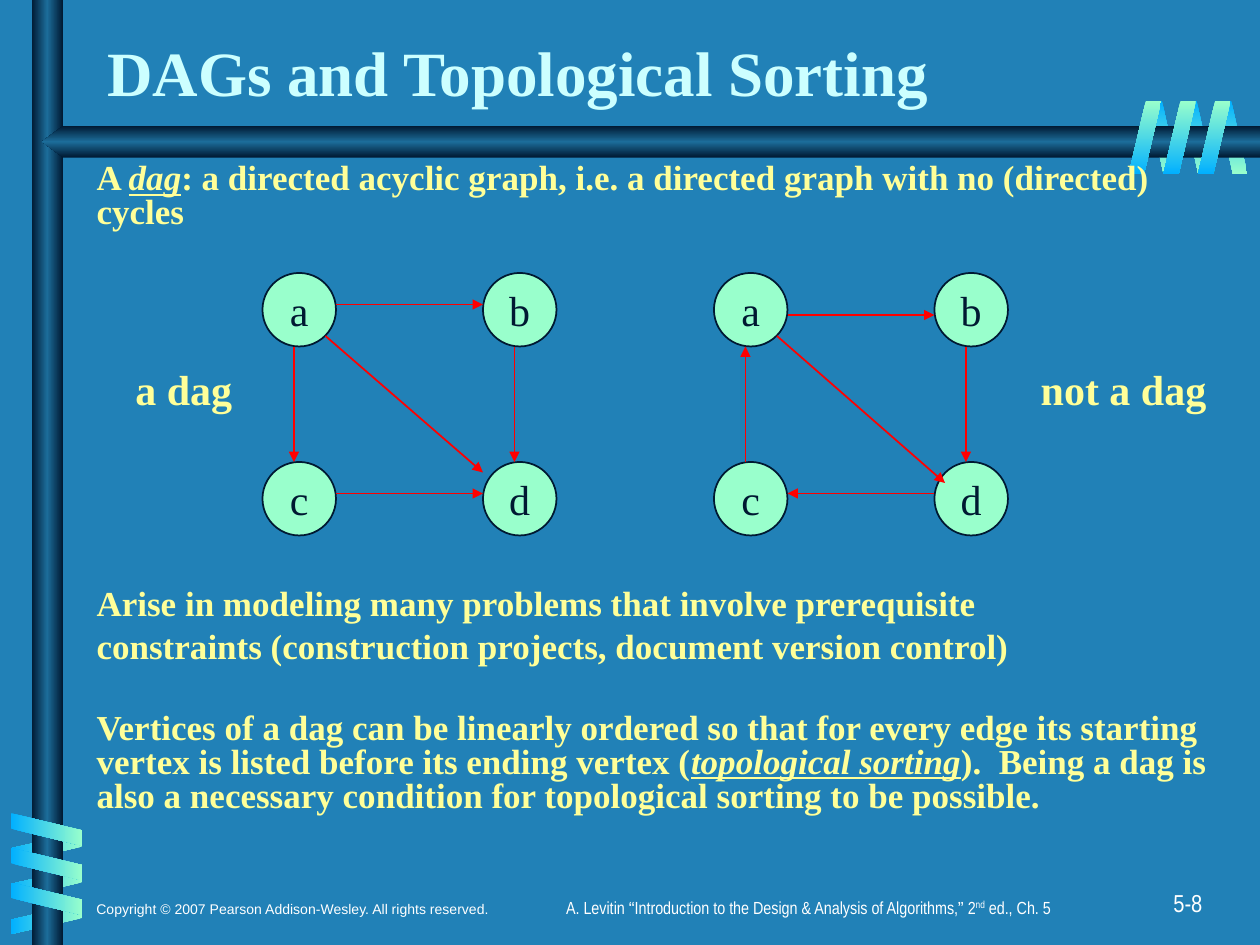
from lxml import etree
from pptx import Presentation
from pptx import util as u
from pptx.dml.color import RGBColor
from pptx.enum import shapes, text
from pptx.oxml import ns

PX = 7620  # EMU per px, 120 px to the inch
BLUE = RGBColor(0x21, 0x81, 0xB7)
NAVY = RGBColor(0x00, 0x19, 0x32)
STEEL = RGBColor(0x1C, 0x6D, 0x9A)
SKY = RGBColor(0x01, 0xB0, 0xFF)
MINT = RGBColor(0x99, 0xFF, 0xCC)
ICE = RGBColor(0xCC, 0xFF, 0xFF)
YELLOW = RGBColor(0xFF, 0xFF, 0x99)
WHITE = RGBColor(0xFF, 0xFF, 0xFF)
RED = RGBColor(0xFF, 0x00, 0x00)
SERIF, SANS, NARROW = "Times New Roman", "Arial", "Arial Narrow"


def write(para, words, size, color, **values):
    span = para.add_run()
    span.text = words
    span.font.color.rgb = color
    for name, value in {"size": u.Pt(size), "name": SERIF, **values}.items():
        setattr(span.font, name, value)
    return span


def shade(shape, colors, angle):
    shape.shadow.inherit = False
    shape.line.fill.background()
    shape.fill.gradient()
    grad = shape.element.spPr.find(ns.qn("a:gradFill"))
    grad.set("rotWithShape", "0")
    for child in list(grad):
        grad.remove(child)
    stops = etree.SubElement(grad, ns.qn("a:gsLst"))
    for i, color in enumerate(colors):
        stop = etree.SubElement(stops, ns.qn("a:gs"), pos=str(100000 * i // (len(colors) - 1)))
        etree.SubElement(stop, ns.qn("a:srgbClr"), val=str(color))
    etree.SubElement(grad, ns.qn("a:lin"), ang=str(angle * 60000), scaled="1")


deck = Presentation()
deck.slide_width, deck.slide_height = 1200 * PX, 900 * PX
page = deck.slides.add_slide(deck.slide_layouts[1])
page.background.fill.solid()
page.background.fill.fore_color.rgb = BLUE
title, body = page.placeholders

# Coil strips: left, top, x step, y step, width, height, turn, mirrored, colours, angle
back_coils = [
    (1093, 96, 33, 0, 29, 70, 180, True, (SKY, MINT), 90),
    (30, 773, 0, 34, 29, 68, 90, True, (MINT, SKY), 0),
]
front_coils = [
    (29, 756, 0, 33, 31, 68, 270, False, (SKY, MINT), 0),
    (1075, 96, 33, 0, 31, 70, 0, False, (MINT, SKY), 90),
]
for coils in (back_coils, front_coils):
    for left, top, dx, dy, width, height, turn, mirrored, colors, angle in coils:
        for i in range(3):
            strip = page.shapes.add_shape(
                shapes.MSO_SHAPE.PARALLELOGRAM,
                (left + i * dx) * PX, (top + i * dy) * PX, width * PX, height * PX)
            strip.adjustments[0] = 0.53
            strip.rotation = turn
            if mirrored:
                strip.element.spPr.xfrm.set("flipH", "1")
            shade(strip, colors, angle)

    # Bars run between the back and front strips
    if coils is back_coils:
        bar = page.shapes.add_shape(shapes.MSO_SHAPE.RECTANGLE, 30 * PX, 0, 30 * PX, 900 * PX)
        shade(bar, (NAVY, STEEL, NAVY), 0)
        outline = page.shapes.build_freeform(1200, 120, scale=PX)
        outline.add_line_segments([(60, 120), (40, 135), (60, 150), (1200, 150)], close=True)
        shade(outline.convert_to_shape(), (NAVY, STEEL, NAVY), 90)

# Title and body text, in front of the decoration
for holder, place in ((title, (90, 20, 996, 90)), (body, (80, 150, 1100, 680))):
    page.shapes.element.append(holder.element)
    for name, value in zip(("left", "top", "width", "height"), place):
        setattr(holder, name, value * PX)
    holder.text_frame.auto_size = text.MSO_AUTO_SIZE.NONE
title.text_frame.vertical_anchor = text.MSO_ANCHOR.BOTTOM
title.text_frame.paragraphs[0].alignment = text.PP_ALIGN.LEFT
write(title.text_frame.paragraphs[0], "DAGs and Topological Sorting", 36, ICE, bold=True)

TERM = {"italic": True, "underline": True}
paragraphs = [
    (0, [("A ", {}), ("dag", TERM),
         (": a directed acyclic graph, i.e. a directed graph with no (directed) cycles", {})]),
    (205, [("Arise in modeling many problems that involve prerequisite", {})]),
    (5, [("constraints (construction projects, document version control)", {})]),
    (27.5, [("Vertices of a dag can be linearly ordered so that for every edge its starting "
             "vertex is listed before its ending vertex (", {}),
            ("topological sorting", TERM),
            (").  Being a dag is also a necessary condition for topological sorting "
             "to be possible.", {})]),
]
for i, (gap, spans) in enumerate(paragraphs):
    para = body.text_frame.paragraphs[0] if i == 0 else body.text_frame.add_paragraph()
    props = para._p.get_or_add_pPr()
    props.set("marL", "0")
    props.set("indent", "0")
    etree.SubElement(props, ns.qn("a:buNone"))
    para.line_spacing = 0.8
    para.space_before = u.Pt(gap)
    for words, values in spans:
        write(para, words, 20, YELLOW, bold=True, **values)

# Two graphs: nodes on a 2 by 2 grid, then edges relative to node a
NODE, STEP_X, STEP_Y = 70, 210, 180
graphs = [
    (250, [(70, 30, 210, 30), (30, 70, 30, 180), (70, 210, 210, 210),
           (240, 70, 240, 180), (60, 60, 210, 190)]),
    (680, [(30, 180, 30, 70), (210, 210, 70, 210), (240, 70, 240, 180),
           (70, 40, 210, 40), (60, 60, 220, 200)]),
]
top = 260
for left, edges in graphs:
    for i, letter in enumerate("abcd"):
        node = page.shapes.add_shape(
            shapes.MSO_SHAPE.OVAL, (left + i % 2 * STEP_X) * PX,
            (top + i // 2 * STEP_Y) * PX, NODE * PX, NODE * PX)
        node.shadow.inherit = False
        node.fill.solid()
        node.fill.fore_color.rgb = MINT
        node.line.color.rgb = NAVY
        node.line.width = u.Pt(1)
        node.text_frame.word_wrap = False
        write(node.text_frame.paragraphs[0], letter, 24, NAVY)
    for x1, y1, x2, y2 in edges:
        edge = page.shapes.add_connector(
            shapes.MSO_CONNECTOR.STRAIGHT, (left + x1) * PX, (top + y1) * PX,
            (left + x2) * PX, (top + y2) * PX)
        edge.line.color.rgb = RED
        edge.line.width = u.Pt(1)
        etree.SubElement(edge.line._get_or_add_ln(), ns.qn("a:tailEnd"), type="triangle")
        etree.SubElement(edge.element.spPr, ns.qn("a:effectLst"))

# Graph labels and footer
LEFT, CENTER, RIGHT = text.PP_ALIGN.LEFT, text.PP_ALIGN.CENTER, text.PP_ALIGN.RIGHT
TOP, BOTTOM = text.MSO_ANCHOR.TOP, text.MSO_ANCHOR.BOTTOM
labels = [
    ((110, 340, 130, 60), CENTER, TOP, 24, YELLOW, [("a dag", SERIF)]),
    ((970, 340, 200, 60), CENTER, TOP, 24, YELLOW, [("not a dag", SERIF)]),
    ((907, 840, 250, 40), RIGHT, TOP, 14, WHITE, [("5-8", NARROW)]),
    ((80, 810, 510, 70), LEFT, BOTTOM, 8, WHITE,
     [("Copyright © 2007 Pearson Addison-Wesley. All rights reserved.", SANS)]),
    ((350, 848, 840, 40), CENTER, TOP, 10, WHITE,
     [("A. Levitin ", NARROW), ("“", SANS),
      ("Introduction to the Design & Analysis of Algorithms,", NARROW), ("”", SANS),
      (" 2", NARROW), ("nd", NARROW), (" ed., Ch. 5", NARROW)]),
]
for place, align, anchor, size, color, spans in labels:
    box = page.shapes.add_textbox(*(value * PX for value in place))
    box.text_frame.word_wrap = True
    box.text_frame.vertical_anchor = anchor
    para = box.text_frame.paragraphs[0]
    para.alignment = align
    for words, face in spans:
        span = write(para, words, size, color, name=face, bold=color == YELLOW)
        if words == "nd":
            span.font._element.set("baseline", "30000")

deck.save("out.pptx")
